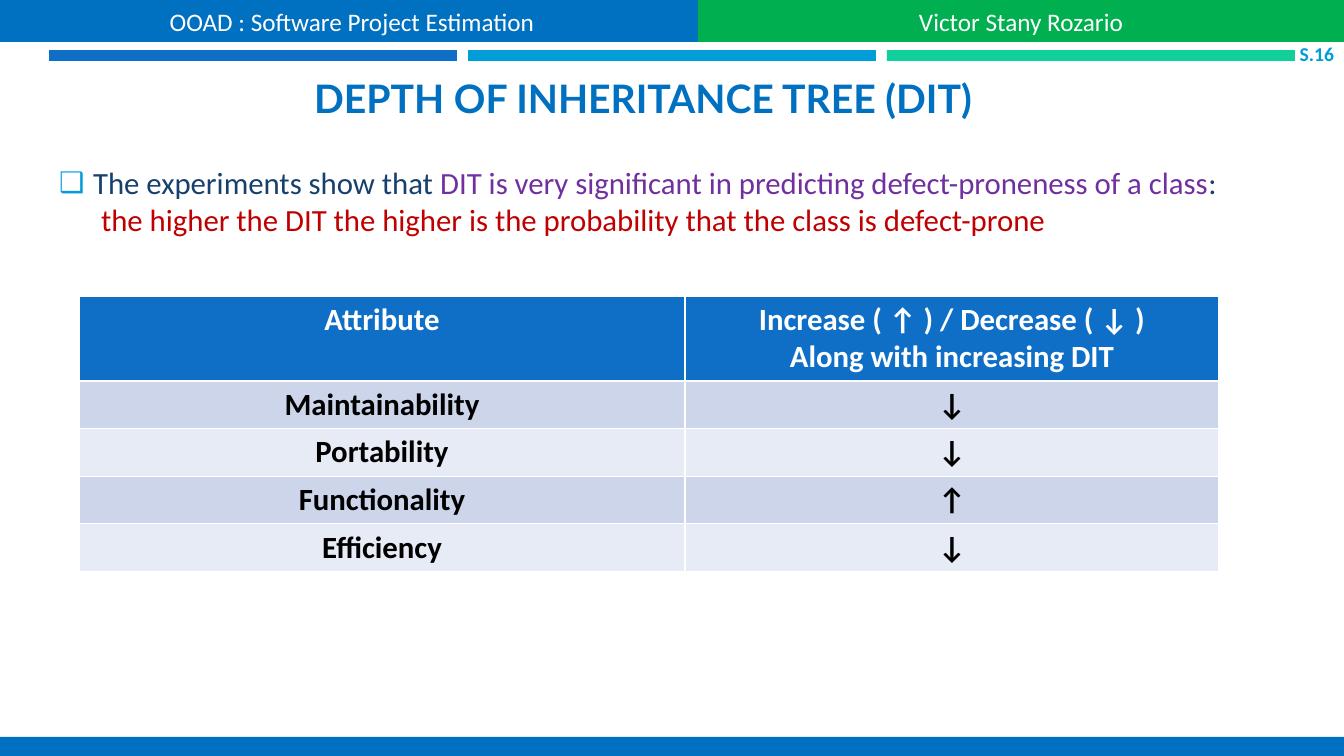
from dataclasses import dataclass

import lxml.etree
import pptx
import pptx.dml.color
import pptx.enum.shapes
import pptx.enum.text
import pptx.oxml.ns
import pptx.util

EMU_PER_PX = 914400 / 100.8
CENTER = pptx.enum.text.PP_ALIGN.CENTER
MIDDLE = pptx.enum.text.MSO_ANCHOR.MIDDLE


@dataclass(frozen=True)
class Theme:
    blue: str = "0070C0"
    green: str = "00B050"
    deep_blue: str = "0F6FC6"
    sky: str = "009DD9"
    mint: str = "10CF9B"
    navy: str = "17406D"
    purple: str = "7030A0"
    red: str = "C00000"
    white: str = "FFFFFF"
    black: str = "000000"
    band_dark: str = "CCD5EA"
    band_light: str = "E7EBF5"
    title_font: str = "Lato"
    body_font: str = "Calibri"
    title_size: int = 28
    body_size: int = 22
    header_size: int = 18
    number_size: int = 14


THEME = Theme()


@dataclass(frozen=True)
class Box:
    left: int
    top: int
    width: int
    height: int


@dataclass(frozen=True)
class Band:
    box: Box
    color: str
    text: str = ""


@dataclass(frozen=True)
class Phrase:
    text: str
    color: str


BAR_COLORS = (THEME.deep_blue, THEME.sky, THEME.mint)
BANDS = [
    *(Band(Box(49 + 419 * index, 50, 408, 11), color) for index, color in enumerate(BAR_COLORS)),
    Band(Box(0, 0, 704, 42), THEME.blue, "OOAD : Software Project Estimation"),
    Band(Box(698, 0, 646, 42), THEME.green, "Victor Stany Rozario"),
    Band(Box(0, 737, 1344, 19), THEME.blue),
]
FINDING = [
    Phrase("The experiments show that ", THEME.navy),
    Phrase("DIT is very significant in predicting defect-proneness of a class", THEME.purple),
    Phrase(":", THEME.navy),
]
CONSEQUENCE = Phrase(
    "the higher the DIT the higher is the probability that the class is defect-prone", THEME.red
)
ROWS = [
    ("Attribute", "Increase ( ↑ ) / Decrease ( ↓ )\nAlong with increasing DIT"),
    ("Maintainability", "↓"),
    ("Portability", "↓"),
    ("Functionality", "↑"),
    ("Efficiency", "↓"),
]
TABLE_BOX = Box(79, 296, 1140, 272)
COLUMN_WIDTHS = (606, 534)
HEADER_HEIGHT, ROW_HEIGHT = 84, 47


def px(length: int) -> pptx.util.Emu:
    return pptx.util.Emu(round(length * EMU_PER_PX))


def rgb(color: str) -> pptx.dml.color.RGBColor:
    return pptx.dml.color.RGBColor.from_string(color)


def bounds(box: Box) -> tuple:
    return px(box.left), px(box.top), px(box.width), px(box.height)


def place(shape, box: Box) -> None:
    shape.left, shape.top, shape.width, shape.height = bounds(box)


def style_run(run, size: int, color: str, bold: bool = False, name: str = THEME.body_font) -> None:
    run.font.size = pptx.util.Pt(size)
    run.font.name = name
    run.font.bold = bold
    run.font.color.rgb = rgb(color)


def style_frame(text_frame, size: int, color: str, alignment=CENTER, bold: bool = False,
                name: str = THEME.body_font) -> None:
    for paragraph in text_frame.paragraphs:
        paragraph.alignment = alignment
        for run in paragraph.runs:
            style_run(run, size, color, bold, name)


def draw_band(slide, band: Band) -> None:
    shape = slide.shapes.add_shape(pptx.enum.shapes.MSO_SHAPE.RECTANGLE, *bounds(band.box))
    shape.shadow.inherit = False
    shape.fill.solid()
    shape.fill.fore_color.rgb = rgb(band.color)
    shape.line.fill.background()
    if band.text:
        shape.text_frame.text = band.text
        shape.text_frame.vertical_anchor = MIDDLE
        style_frame(shape.text_frame, THEME.header_size, THEME.white)


def fill_title(title) -> None:
    place(title, Box(35, 65, 1216, 61))
    title.text_frame.text = "DEPTH OF INHERITANCE TREE (DIT)"
    title.text_frame.auto_size = pptx.enum.text.MSO_AUTO_SIZE.NONE
    title.text_frame.vertical_anchor = pptx.enum.text.MSO_ANCHOR.BOTTOM
    style_frame(title.text_frame, THEME.title_size, THEME.blue, bold=True, name=THEME.title_font)


def add_element(parent, tag: str, **attributes: str):
    return lxml.etree.SubElement(parent, pptx.oxml.ns.qn(tag), attributes)


def indent(paragraph, margin: int, first_line: int):
    paragraph.space_before = paragraph.space_after = pptx.util.Pt(0)
    properties = paragraph._p.get_or_add_pPr()
    properties.set("marL", str(px(margin)))
    properties.set("indent", str(px(first_line)))
    return properties


def fill_body(body) -> None:
    place(body, Box(49, 152, 1237, 140))
    text_frame = body.text_frame
    text_frame.auto_size = pptx.enum.text.MSO_AUTO_SIZE.NONE
    text_frame.vertical_anchor = pptx.enum.text.MSO_ANCHOR.TOP
    text_frame.margin_top = px(12)

    finding = text_frame.paragraphs[0]
    properties = indent(finding, 34, -34)
    bullet_color = add_element(properties, "a:buClr")
    add_element(bullet_color, "a:srgbClr", val=THEME.sky)
    add_element(properties, "a:buSzPct", val="92000")
    add_element(properties, "a:buChar", char="❑")
    for phrase in FINDING:
        run = finding.add_run()
        run.text = phrase.text
        style_run(run, THEME.body_size, phrase.color)

    consequence = text_frame.add_paragraph()
    add_element(indent(consequence, 42, 0), "a:buNone")
    consequence.text = CONSEQUENCE.text
    style_run(consequence.runs[0], THEME.body_size, CONSEQUENCE.color)


def draw_table(slide) -> None:
    table = slide.shapes.add_table(len(ROWS), len(COLUMN_WIDTHS), *bounds(TABLE_BOX)).table
    for column, width in zip(table.columns, COLUMN_WIDTHS):
        column.width = px(width)
    for index, texts in enumerate(ROWS):
        is_header = index == 0
        table.rows[index].height = px(HEADER_HEIGHT if is_header else ROW_HEIGHT)
        band_color = THEME.band_dark if index % 2 else THEME.band_light
        for cell, text in zip(table.rows[index].cells, texts):
            cell.fill.solid()
            cell.fill.fore_color.rgb = rgb(THEME.deep_blue if is_header else band_color)
            cell.text_frame.text = text
            text_color = THEME.white if is_header else THEME.black
            style_frame(cell.text_frame, THEME.body_size, text_color, bold=True)


def draw_slide_number(slide) -> None:
    text_frame = slide.shapes.add_textbox(*bounds(Box(1290, 39, 54, 30))).text_frame
    text_frame.word_wrap = True
    text_frame.margin_left = 0
    text_frame.vertical_anchor = MIDDLE
    text_frame.text = "S.16"
    style_frame(text_frame, THEME.number_size, THEME.sky, pptx.enum.text.PP_ALIGN.RIGHT, bold=True)


def main() -> None:
    presentation = pptx.Presentation()
    presentation.slide_width, presentation.slide_height = px(1344), px(756)
    slide = presentation.slides.add_slide(presentation.slide_layouts[1])
    fill_title(slide.shapes.title)
    fill_body(slide.placeholders[1])
    draw_table(slide)
    draw_slide_number(slide)
    for band in BANDS:
        draw_band(slide, band)
    presentation.save("out.pptx")


if __name__ == "__main__":
    main()
